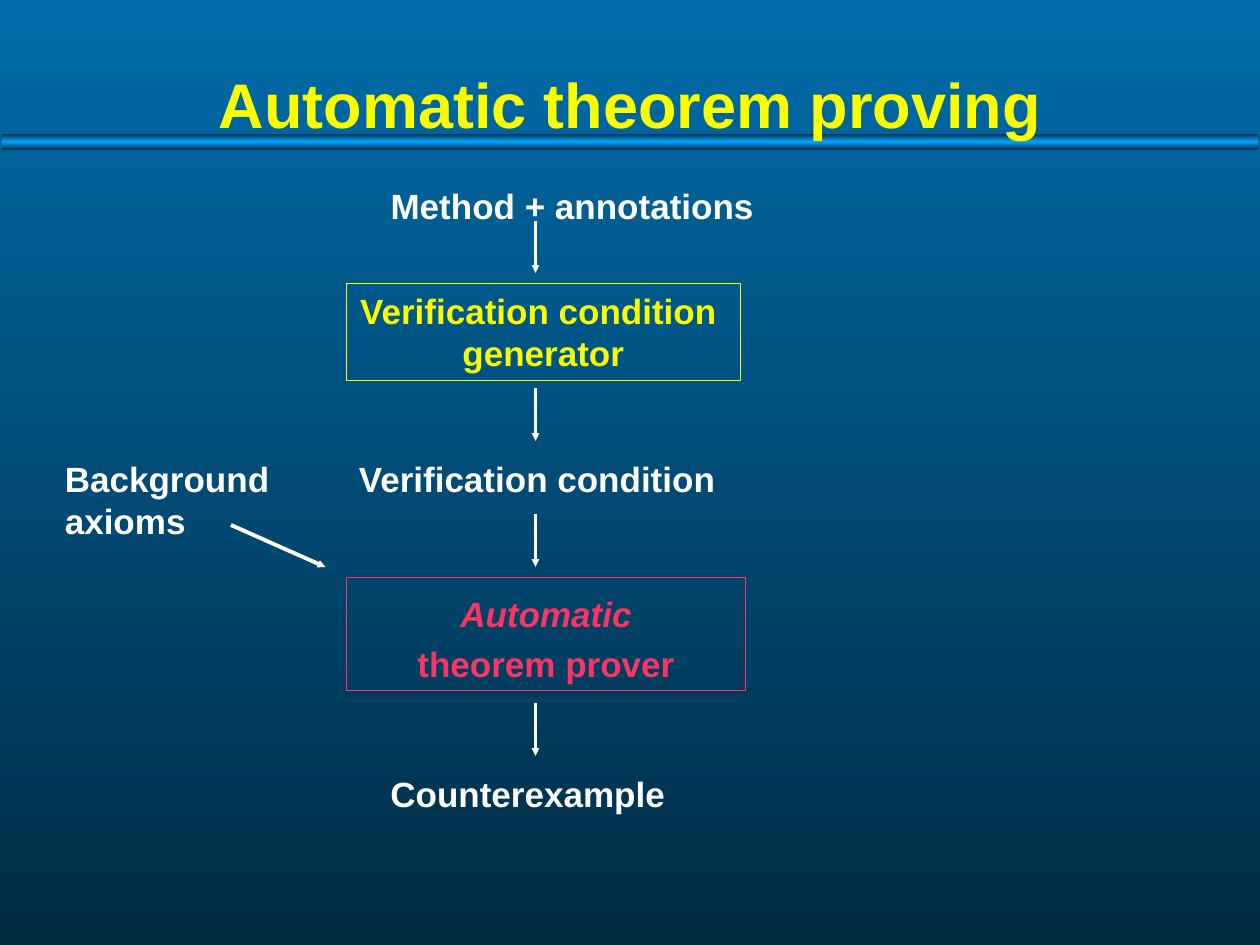
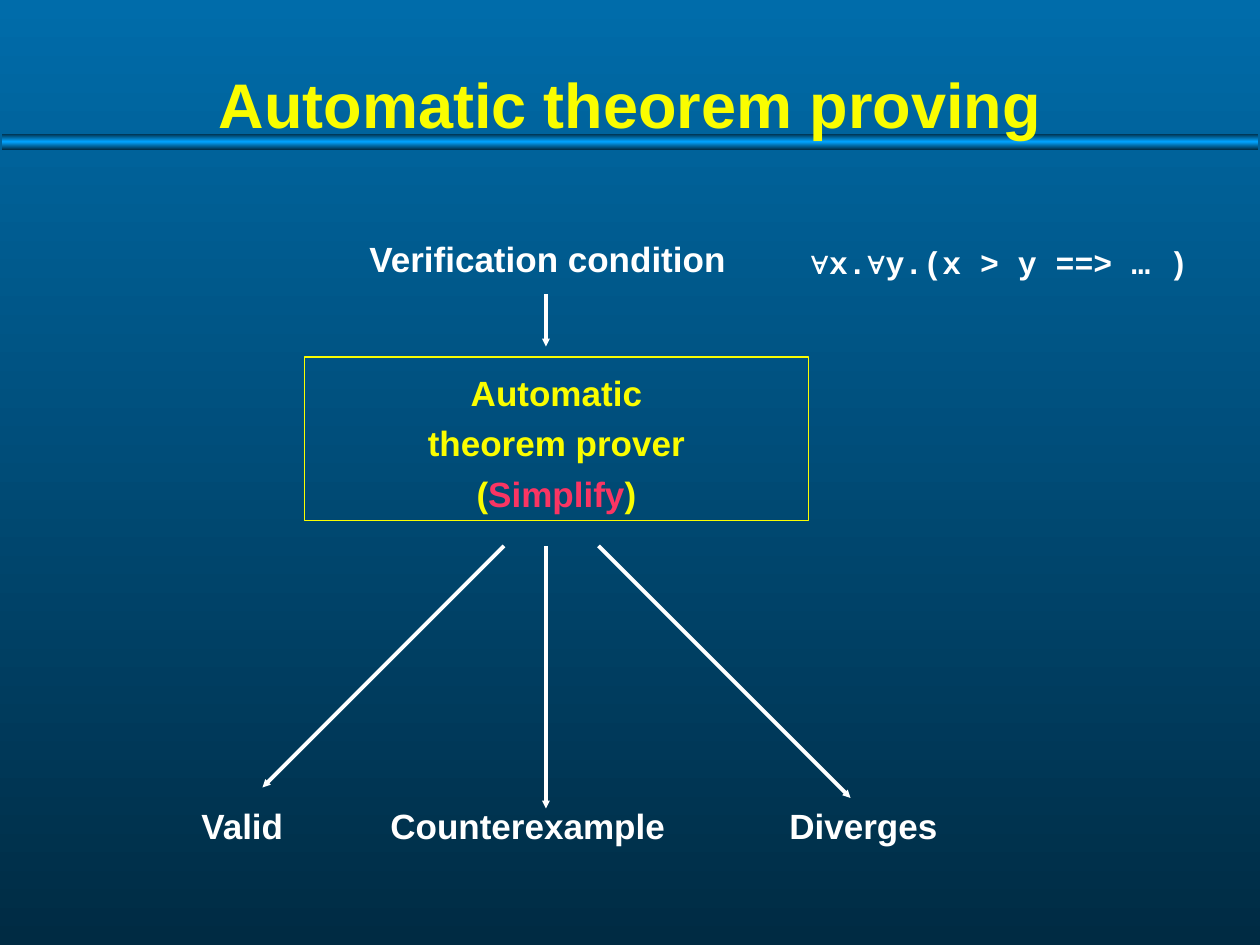
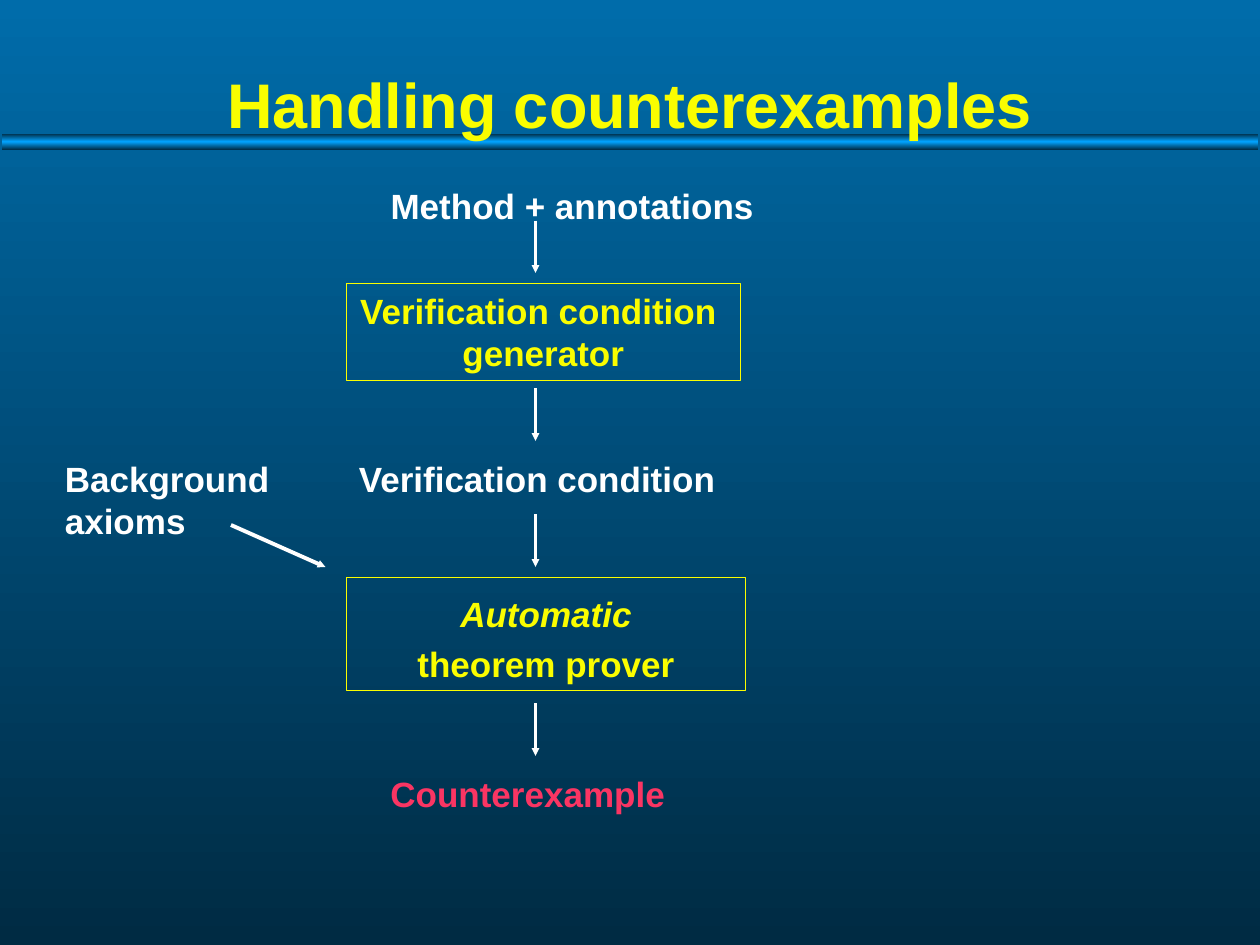
from dataclasses import dataclass

from lxml.etree import SubElement
from pptx import Presentation
from pptx.dml.color import RGBColor
from pptx.dml.fill import FillFormat
from pptx.enum.shapes import MSO_CONNECTOR, MSO_SHAPE
from pptx.enum.text import MSO_ANCHOR, PP_ALIGN
from pptx.oxml.ns import qn
from pptx.presentation import Presentation as Deck
from pptx.slide import Slide
from pptx.text.text import TextFrame
from pptx.util import Inches, Pt

WIDTH, HEIGHT = Inches(10), Inches(7.5)
COLS, ROWS = 120, 90


@dataclass(frozen=True)
class Theme:
    white: str = "FFFFFF"
    yellow: str = "FAFD00"
    red: str = "FA3563"
    sky: tuple[str, str] = ("006CAA", "002B43")
    band_dark: str = "00304B"
    band_light: str = "01A4FF"
    font: str = "Arial"
    code_font: str = "Courier New"
    title_size: float = 36
    body_size: float = 20
    formula_size: float = 18
    outline: float = 0.75
    arrow: float = 2.25


THEME = Theme()


@dataclass(frozen=True)
class Span:
    text: str
    color: str | None = None
    font: str | None = None
    italic: bool = False


LINE_BREAK = Span("\n")


@dataclass(frozen=True)
class Block:
    """Text on the grid, with an outline in the text colour if boxed."""
    lines: tuple[tuple[Span, ...], ...]
    col: float
    row: float
    cols: float
    rows: float
    color: str = THEME.white
    size: float = THEME.body_size
    boxed: bool = False
    centred: bool = False
    wrap: bool = False
    spacing: float = 1.0


@dataclass(frozen=True)
class Arrow:
    col: float
    row: float
    end_col: float
    end_row: float


def x(col: float) -> int:
    return round(WIDTH * col / COLS)


def y(row: float) -> int:
    return round(HEIGHT * row / ROWS)


def line(text: str, italic: bool = False) -> tuple[Span, ...]:
    return (Span(text, italic=italic),)


def fill_down(fill: FillFormat, top: str, bottom: str) -> None:
    fill.gradient()
    fill.gradient_angle = 270
    for stop, color in zip(fill.gradient_stops, (top, bottom)):
        stop.color.rgb = RGBColor.from_string(color)


def write(tf: TextFrame, lines: tuple[tuple[Span, ...], ...], *, color: str, size: float,
          centred: bool, wrap: bool, spacing: float) -> None:
    tf.word_wrap = wrap
    tf.vertical_anchor = MSO_ANCHOR.TOP
    for i, spans in enumerate(lines):
        p = tf.add_paragraph() if i else tf.paragraphs[0]
        p.alignment = PP_ALIGN.CENTER if centred else PP_ALIGN.LEFT
        p.line_spacing = spacing
        for span in spans:
            if span is LINE_BREAK:
                p.add_line_break()
                continue
            r = p.add_run()
            r.text = span.text
            r.font.name = span.font or THEME.font
            r.font.size = Pt(size)
            r.font.bold = True
            r.font.italic = span.italic
            r.font.color.rgb = RGBColor.from_string(span.color or color)


def draw_block(slide: Slide, block: Block) -> None:
    place = x(block.col), y(block.row), x(block.cols), y(block.rows)
    if block.boxed:
        sp = slide.shapes.add_shape(MSO_SHAPE.RECTANGLE, *place)
        sp.shadow.inherit = False
        sp.fill.background()
        sp.line.color.rgb = RGBColor.from_string(block.color)
        sp.line.width = Pt(THEME.outline)
    else:
        sp = slide.shapes.add_textbox(*place)
    write(sp.text_frame, block.lines, color=block.color, size=block.size,
          centred=block.centred, wrap=block.wrap, spacing=block.spacing)


def draw_arrow(slide: Slide, arrow: Arrow) -> None:
    cx = slide.shapes.add_connector(MSO_CONNECTOR.STRAIGHT, x(arrow.col), y(arrow.row),
                                    x(arrow.end_col), y(arrow.end_row))
    cx.line.color.rgb = RGBColor.from_string(THEME.white)
    cx.line.width = Pt(THEME.arrow)
    SubElement(cx.line._get_or_add_ln(), qn("a:tailEnd"), type="triangle", w="sm", len="sm")
    SubElement(cx._element.spPr, qn("a:effectLst"))


def draw_bands(slide: Slide) -> None:
    dark, light = THEME.band_dark, THEME.band_light
    left, top, cols, rows = 0.2, 12.75, 119.6, 0.75
    for i, colors in enumerate(((dark, light), (light, dark))):
        sp = slide.shapes.add_shape(MSO_SHAPE.RECTANGLE, x(left), y(top + i * rows),
                                    x(cols), y(rows))
        sp.shadow.inherit = False
        sp.line.fill.background()
        fill_down(sp.fill, *colors)


def add_slide(prs: Deck, title: str, blocks: list[Block], arrows: list[Arrow]) -> None:
    slide = prs.slides.add_slide(prs.slide_layouts[6])
    draw_bands(slide)
    draw_block(slide, Block((line(title),), 6.2, 4.25, 107.6, 10, THEME.yellow,
                            THEME.title_size, centred=True, wrap=True, spacing=1.2))
    for block in blocks:
        draw_block(slide, block)
    for arrow in arrows:
        draw_arrow(slide, arrow)


def condition(col: float, row: float) -> Block:
    return Block((line("Verification condition"),), col, row, 36.5, 9.2, wrap=True)


def outcome(text: str, col: float, row: float, cols: float,
            color: str = THEME.white) -> Block:
    return Block((line(text),), col, row, cols, 5.25, color, wrap=True)


def add_pipeline(prs: Deck, title: str, prover_color: str, result_color: str) -> None:
    """Add the checking pipeline, with the stage under discussion coloured."""
    blocks = [
        Block((line("Method + annotations"),), 36, 17, 37, 5.25, centred=True),
        Block((line("Verification condition "), line("generator")), 33, 27, 37.5, 9.25,
              THEME.yellow, boxed=True, centred=True),
        condition(33, 43),
        Block((line("Automatic", italic=True), line("theorem prover")), 33, 55, 38, 10.8,
              prover_color, boxed=True, centred=True, wrap=True, spacing=1.2),
        outcome("Counterexample", 36, 73, 29.5, result_color),
        Block((line("Background axioms"),), 5, 43, 23, 9.2, wrap=True),
    ]
    arrows = [Arrow(51, row, 51, row + 5) for row in (21, 37, 49, 67)]
    add_slide(prs, title, blocks, arrows + [Arrow(22, 50, 31, 54)])


def add_outcomes(prs: Deck, title: str) -> None:
    prover = (
        line("Automatic"),
        (Span("theorem prover"), LINE_BREAK, Span("("), Span("Simplify", THEME.red),
         Span(")")),
    )
    code = THEME.code_font
    formula = (Span("∀"), Span("x.", font=code), Span("∀"),
               Span("y.(x > y ==> … )", font=code))
    blocks = [
        condition(34, 22),
        Block(prover, 29, 34, 48, 15.6, THEME.yellow, boxed=True, centred=True,
              wrap=True, spacing=1.2),
        Block((formula,), 76, 22.6, 39.1, 4.8, size=THEME.formula_size),
        outcome("Valid", 18, 76, 11.5),
        outcome("Counterexample", 36, 76, 29.5),
        outcome("Diverges", 74, 76, 17.5),
    ]
    arrows = [Arrow(52, 28, 52, 33), Arrow(52, 52, 52, 77),
              Arrow(48, 52, 25, 75), Arrow(57, 52, 81, 76)]
    add_slide(prs, title, blocks, arrows)


def main() -> None:
    prs = Presentation()
    prs.slide_width, prs.slide_height = WIDTH, HEIGHT
    fill_down(prs.slide_master.background.fill, *THEME.sky)
    add_pipeline(prs, "Automatic theorem proving", THEME.red, THEME.white)
    add_outcomes(prs, "Automatic theorem proving")
    add_pipeline(prs, "Handling counterexamples", THEME.yellow, THEME.red)
    prs.save("out.pptx")


if __name__ == "__main__":
    main()
